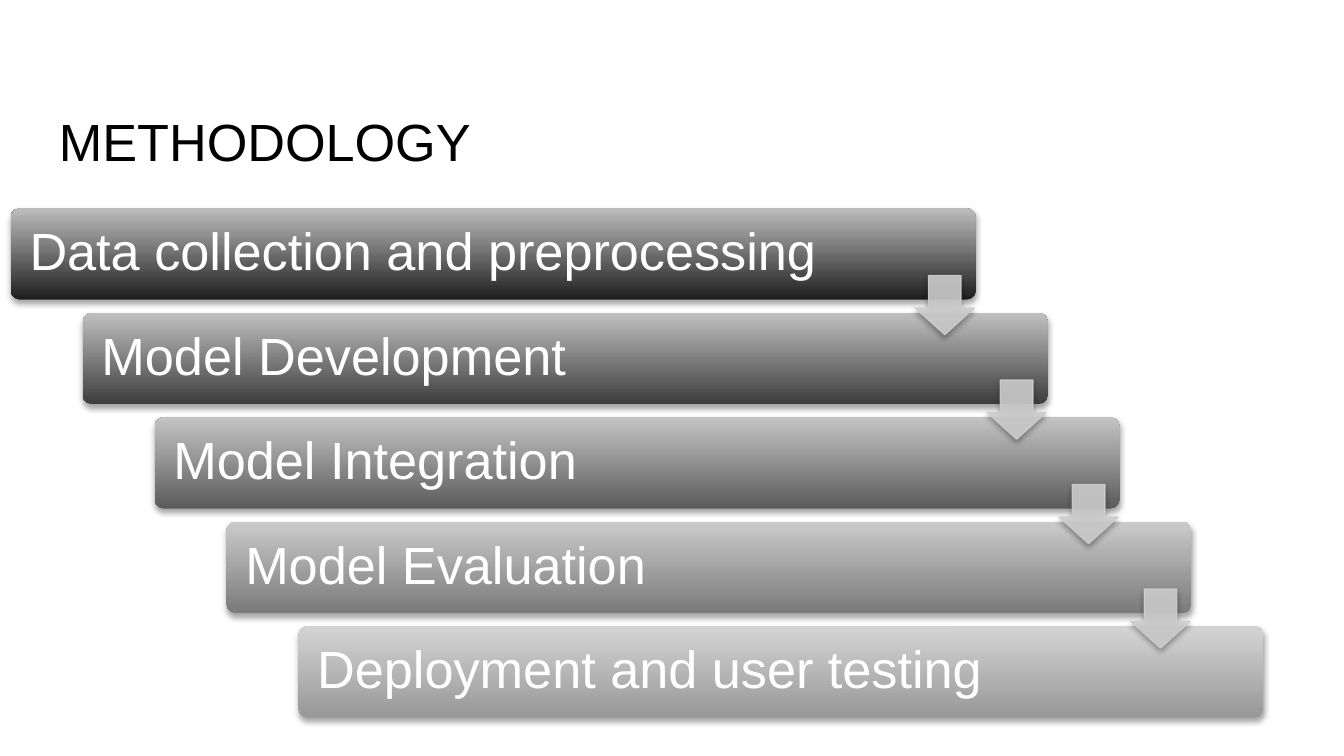
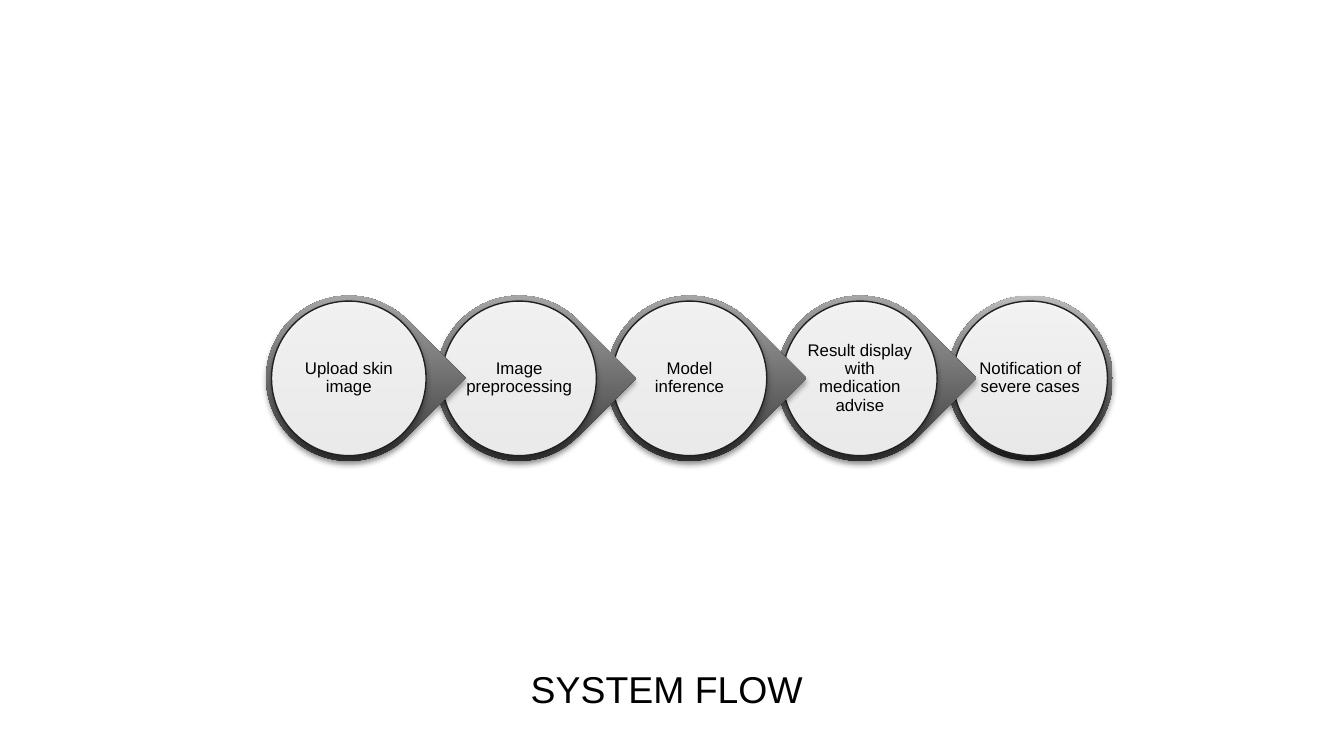
"""Build the methodology and system flow slides."""
from dataclasses import dataclass

from lxml.etree import SubElement
from pptx import Presentation
from pptx.dml.color import RGBColor
from pptx.enum.shapes import MSO_SHAPE
from pptx.enum.text import MSO_ANCHOR, PP_ALIGN
from pptx.oxml.ns import qn
from pptx.shapes.autoshape import Shape
from pptx.slide import Slide
from pptx.util import Inches, Pt

COLORS = {
    "black": "000000",
    "white": "FFFFFF",
    "arrow": "CDCDCD",
    "ring_dark": "212121",
    "ring_light": "BDBDBD",
}
FONT = "Arial"
SLIDE_WIDTH = 10
SLIDE_HEIGHT = SLIDE_WIDTH * 9 / 16
BAR_WIDTH, BAR_HEIGHT = 7.18, 0.68
BAR_STEP_X, BAR_STEP_Y = (2.22 - 0.08) / 4, (4.66 - 1.55) / 4
ARROW_SIZE = 0.44
RING_SIZE, DISC_SIZE, LABEL_SIZE = 1.23, 1.15, 0.82
RING_STEP = (7.05 - 1.98) / 4


@dataclass(frozen=True)
class Box:
    left: float
    top: float
    width: float
    height: float

    def lengths(self) -> tuple:
        return tuple(Inches(value) for value in (self.left, self.top, self.width, self.height))

    def centered(self, size: float) -> "Box":
        return Box(self.left + (self.width - size) / 2,
                   self.top + (self.height - size) / 2, size, size)


@dataclass(frozen=True)
class Stage:
    text: str
    dark: str
    light: str
    text_width: float = 6.15


STAGES = (
    Stage("Data collection and preprocessing", "1E1E1E", "BDBDBD", 6.36),
    Stage("Model Development", "3D3D3D", "C0C0C0"),
    Stage("Model Integration", "5B5B5B", "C4C4C4"),
    Stage("Model Evaluation", "7A7A7A", "CBCBCB"),
    Stage("Deployment and user testing", "989898", "D4D4D4"),
)
FLOW_LABELS = (
    "Upload skin image",
    "Image preprocessing",
    "Model inference",
    "Result display with medication advise",
    "Notification of severe cases",
)


def add_text(slide: Slide, box: Box, text: str, *, size: float, color: str = "black",
             align: PP_ALIGN = PP_ALIGN.LEFT, anchor: MSO_ANCHOR = MSO_ANCHOR.MIDDLE,
             inset: float = 0.1, line_spacing: float = 0.9) -> None:
    frame = slide.shapes.add_textbox(*box.lengths()).text_frame
    frame.word_wrap = True
    frame.vertical_anchor = anchor
    frame.margin_left = frame.margin_right = Inches(inset)
    frame.margin_top = frame.margin_bottom = Inches(inset)
    paragraph = frame.paragraphs[0]
    paragraph.alignment = align
    paragraph.line_spacing = line_spacing
    run = paragraph.add_run()
    run.text = text
    run.font.name = FONT
    run.font.size = Pt(size)
    run.font.color.rgb = RGBColor.from_string(COLORS[color])


def add_title(slide: Slide, text: str, top: float, size: float, align: PP_ALIGN) -> None:
    add_text(slide, Box(0.34, top, 9.32, 0.63), text, size=size, align=align,
             anchor=MSO_ANCHOR.TOP, line_spacing=1.0)


def add_shadowed_shape(slide: Slide, kind: MSO_SHAPE, box: Box) -> Shape:
    shape = slide.shapes.add_shape(kind, *box.lengths())
    shape.shadow.inherit = False
    shape.line.fill.background()
    effects = shape._element.spPr.find(qn("a:effectLst"))
    shadow = SubElement(effects, qn("a:outerShdw"), blurRad=str(Pt(3.1)),
                        dist=str(Pt(1.8)), dir="5400000", rotWithShape="0")
    color = SubElement(shadow, qn("a:srgbClr"), val=COLORS["black"])
    SubElement(color, qn("a:alpha"), val="35000")
    return shape


def fill_gradient(shape: Shape, dark: str, light: str) -> None:
    shape.fill.gradient()
    shape.fill.gradient_angle = 90
    for stop, position, color in zip(shape.fill.gradient_stops, (0, 1), (dark, light)):
        stop.position = position
        stop.color.rgb = RGBColor.from_string(color)
    shape._element.spPr.find(qn("a:gradFill")).set("rotWithShape", "0")


def fill_translucent(shape: Shape, fill: str, line: str, line_alpha: int = 100) -> None:
    shape.fill.solid()
    shape.fill.fore_color.rgb = RGBColor.from_string(COLORS[fill])
    shape.line.color.rgb = RGBColor.from_string(COLORS[line])
    shape.line.width = Pt(0.75)
    properties = shape._element.spPr
    for parent, alpha in ((properties, 90), (properties.find(qn("a:ln")), line_alpha)):
        color = parent.find(qn("a:solidFill")).find(qn("a:srgbClr"))
        SubElement(color, qn("a:alpha"), val=str(alpha * 1000))


def bar_box(index: int) -> Box:
    return Box(0.08 + index * BAR_STEP_X, 1.55 + index * BAR_STEP_Y, BAR_WIDTH, BAR_HEIGHT)


def add_stage(slide: Slide, stage: Stage, box: Box) -> None:
    bar = add_shadowed_shape(slide, MSO_SHAPE.ROUNDED_RECTANGLE, box)
    bar.adjustments[0] = 0.1
    fill_gradient(bar, stage.dark, stage.light)
    text_box = Box(box.left + 0.02, box.top + 0.02, stage.text_width, box.height - 0.04)
    add_text(slide, text_box, stage.text, size=28, color="white", inset=0.12)


def add_stage_arrow(slide: Slide, bar: Box) -> None:
    box = Box(bar.left + 6.73, bar.top + 0.5, ARROW_SIZE, ARROW_SIZE)
    arrow = add_shadowed_shape(slide, MSO_SHAPE.DOWN_ARROW, box)
    arrow.adjustments[0] = 0.55
    arrow.adjustments[1] = 0.45
    fill_translucent(arrow, "arrow", "arrow", line_alpha=90)


def add_flow_step(slide: Slide, text: str, box: Box, is_last: bool) -> None:
    ring = add_shadowed_shape(slide, MSO_SHAPE.OVAL if is_last else MSO_SHAPE.TEAR, box)
    if not is_last:
        ring.adjustments[0] = 1
        ring.rotation = 45
    fill_gradient(ring, COLORS["ring_dark"], COLORS["ring_light"])
    disc = add_shadowed_shape(slide, MSO_SHAPE.OVAL, box.centered(DISC_SIZE))
    fill_translucent(disc, "white", "ring_dark")
    add_text(slide, box.centered(LABEL_SIZE), text, size=9,
             align=PP_ALIGN.CENTER, inset=0.01)


def build_methodology(slide: Slide) -> None:
    add_title(slide, "METHODOLOGY", 0.71, 28, PP_ALIGN.LEFT)
    for index, stage in enumerate(STAGES):
        add_stage(slide, stage, bar_box(index))
    for index in range(len(STAGES) - 1):
        add_stage_arrow(slide, bar_box(index))


def build_system_flow(slide: Slide) -> None:
    add_title(slide, "SYSTEM FLOW ", 4.86, 20, PP_ALIGN.CENTER)
    last = len(FLOW_LABELS) - 1
    for index in range(last, -1, -1):
        box = Box(1.98 + index * RING_STEP, 2.2, RING_SIZE, RING_SIZE)
        add_flow_step(slide, FLOW_LABELS[index], box, is_last=index == last)


def main() -> None:
    presentation = Presentation()
    presentation.slide_width = Inches(SLIDE_WIDTH)
    presentation.slide_height = Inches(SLIDE_HEIGHT)
    for build in (build_methodology, build_system_flow):
        build(presentation.slides.add_slide(presentation.slide_layouts[6]))
    presentation.save("out.pptx")


if __name__ == "__main__":
    main()
